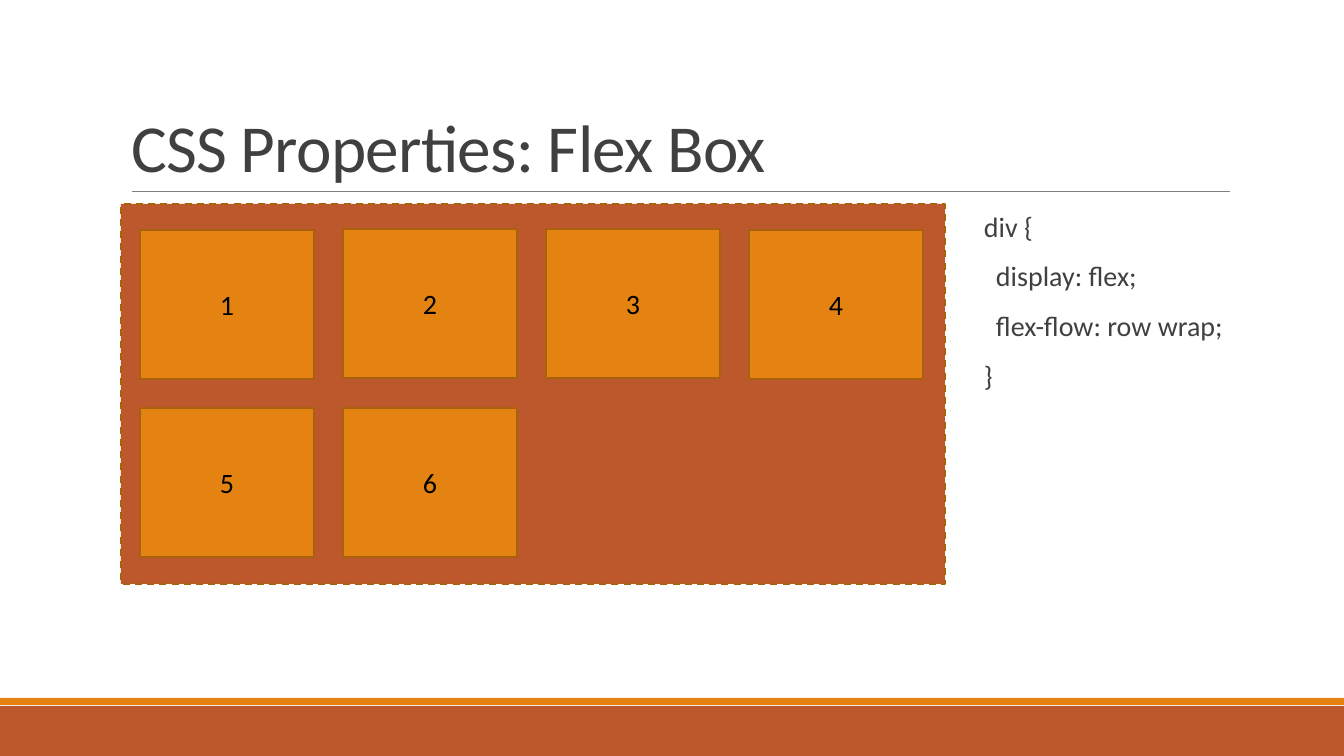
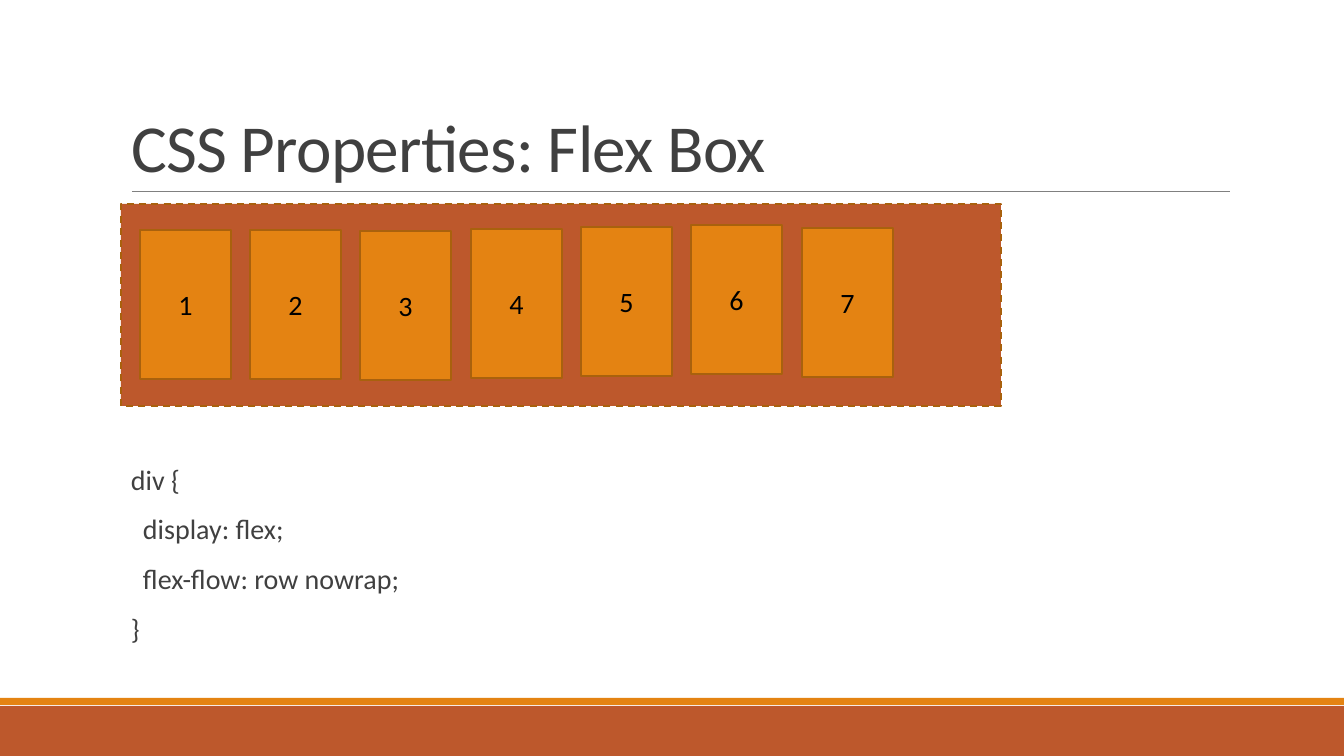
from pptx import Presentation
from pptx.dml.color import RGBColor
from pptx.enum.dml import MSO_LINE
from pptx.enum.shapes import MSO_CONNECTOR, MSO_SHAPE
from pptx.enum.text import MSO_ANCHOR, MSO_AUTO_SIZE, PP_ALIGN
from pptx.oxml.ns import qn
from pptx.util import Pt
from lxml import etree

PX = 12192000 / 1344
FONT = "Calibri"
COLORS = {
    "rust": "BD582C",
    "orange": "E48312",
    "border": "A9610D",
    "rule": "808080",
    "text": "404040",
    "number": "000000",
}
ITEM_LEFT, ITEM_HEIGHT = 140, 149
CODE_MARGIN, CODE_INDENT = 10, 12

SLIDES = [
    {
        "panel": (121, 204, 824, 380),
        "code_box": (974, 208, 271, 202),
        "flow": "row wrap",
        "columns": 4,
        "last_left": 749,
        "item_width": 174,
        "item_tops": [230, 229, 229, 230, 408, 408],
    },
    {
        "panel": (121, 204, 880, 202),
        "code_box": (121, 461, 728, 202),
        "flow": "row nowrap",
        "columns": 7,
        "last_left": 802,
        "item_width": 91,
        "item_tops": [230, 230, 231, 229, 227, 225, 228],
    },
]


def add_rect(slide, box, fill, border=None):
    rect = slide.shapes.add_shape(MSO_SHAPE.RECTANGLE, *[round(n * PX) for n in box])
    rect.shadow.inherit = False
    rect.fill.solid()
    rect.fill.fore_color.rgb = RGBColor.from_string(COLORS[fill])
    if border:
        rect.line.color.rgb = RGBColor.from_string(COLORS[border])
        rect.line.width = Pt(1.25)
    else:
        rect.line.fill.background()
    return rect


def style_font(paragraph, size, color):
    paragraph.font.name = FONT
    paragraph.font.size = Pt(size)
    paragraph.font.color.rgb = RGBColor.from_string(COLORS[color])


prs = Presentation()
prs.slide_width = round(1344 * PX)
prs.slide_height = round(756 * PX)

for content in SLIDES:
    slide = prs.slides.add_slide(prs.slide_layouts[5])

    add_rect(slide, (0, 706, 1344, 50), "rust")
    add_rect(slide, (0, 698, 1344, 7), "orange")
    rule = slide.shapes.add_connector(
        MSO_CONNECTOR.STRAIGHT, *[round(n * PX) for n in (132, 191, 1230, 191)]
    )
    rule.line.color.rgb = RGBColor.from_string(COLORS["rule"])
    rule.line.width = Pt(0.5)
    etree.SubElement(rule._element.spPr, qn("a:effectLst"))

    title = slide.shapes.title
    title.left, title.top, title.width, title.height = [
        round(n * PX) for n in (121, 31, 1109, 160)
    ]
    title.text_frame.text = "CSS Properties: Flex Box"
    title.text_frame.auto_size = MSO_AUTO_SIZE.NONE
    title.text_frame.vertical_anchor = MSO_ANCHOR.BOTTOM
    heading = title.text_frame.paragraphs[0]
    heading.alignment = PP_ALIGN.LEFT
    heading.line_spacing = 0.85
    style_font(heading, 48, "text")
    heading._p.get_or_add_pPr().find(qn("a:defRPr")).set("spc", "-50")

    code = slide.shapes.add_textbox(*[round(n * PX) for n in content["code_box"]]).text_frame
    code.word_wrap = True
    code.margin_left = code.margin_right = 0
    code.text = f"div {{\ndisplay: flex;\nflex-flow: {content['flow']};\n}}"
    for code_line in code.paragraphs:
        style_font(code_line, 20, "text")
        code_line.line_spacing = 0.9
        code_line.space_before = Pt(12)
        code_line.space_after = Pt(2)
        indent = CODE_INDENT if code_line.text.endswith(";") else 0
        code_line._p.get_or_add_pPr().set("marL", str(round((CODE_MARGIN + indent) * PX)))

    panel = add_rect(slide, content["panel"], "rust", "border")
    panel.line.dash_style = MSO_LINE.DASH

    columns = content["columns"]
    for index, top in enumerate(content["item_tops"]):
        left = ITEM_LEFT + index % columns * (content["last_left"] - ITEM_LEFT) // (columns - 1)
        item = add_rect(
            slide, (left, top, content["item_width"], ITEM_HEIGHT), "orange", "border"
        )
        item.text_frame.text = str(index + 1)
        item.text_frame.vertical_anchor = MSO_ANCHOR.MIDDLE
        number = item.text_frame.paragraphs[0]
        number.alignment = PP_ALIGN.CENTER
        style_font(number, 20, "number")

prs.save("out.pptx")
